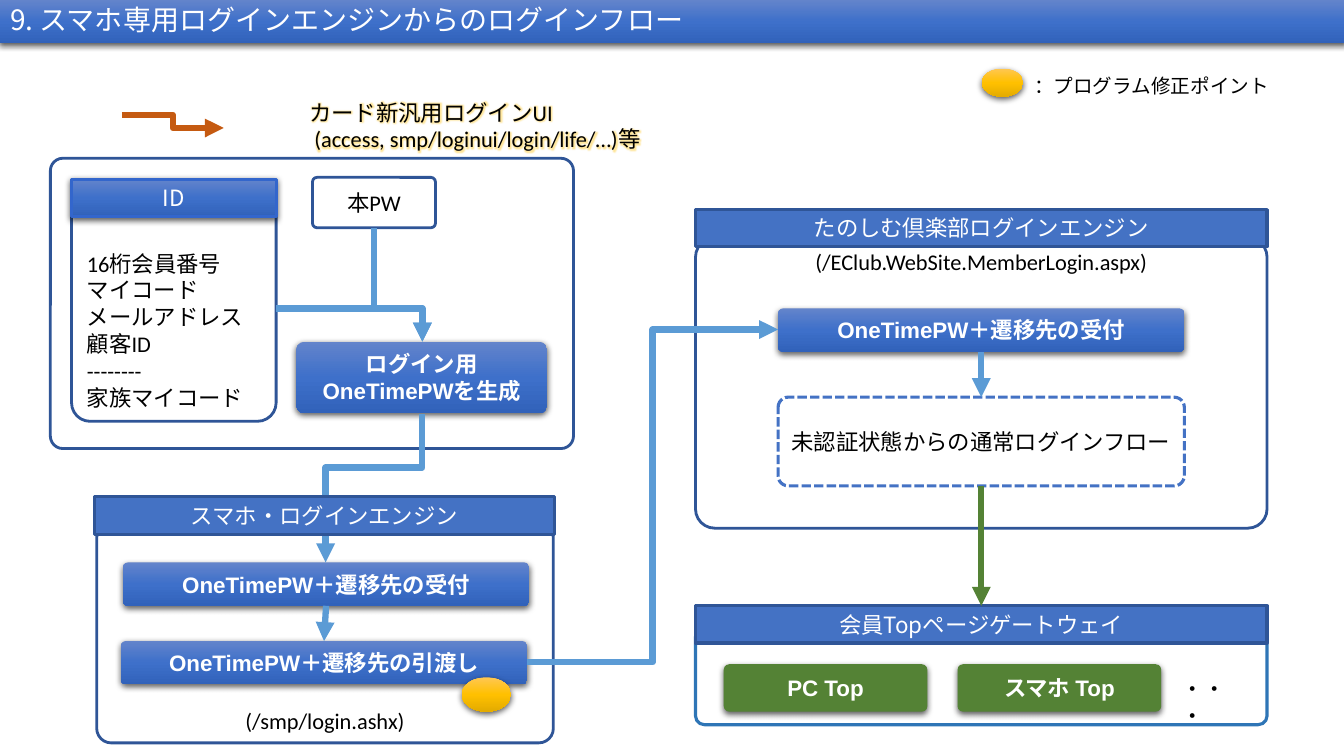
from copy import deepcopy

from lxml import etree
from pptx import Presentation
from pptx import util as u
from pptx.dml.color import RGBColor
from pptx.enum import dml, shapes, text
from pptx.oxml.ns import qn

SLIDE_WIDTH, SLIDE_HEIGHT = u.Inches(13.333), u.Inches(7.5)
COLUMN, ROW = SLIDE_WIDTH / 160, SLIDE_HEIGHT / 90

WHITE = RGBColor(0xFF, 0xFF, 0xFF)
BLACK = RGBColor(0x00, 0x00, 0x00)
BLUE = RGBColor(0x44, 0x72, 0xC4)
NAVY = RGBColor(0x2F, 0x55, 0x97)
ROYAL = RGBColor(0x33, 0x66, 0xCC)
TEAL = RGBColor(0x2E, 0x75, 0xB6)
SKY = RGBColor(0x5B, 0x9B, 0xD5)
GREEN = RGBColor(0x54, 0x82, 0x35)
ORANGE = RGBColor(0xC5, 0x5A, 0x11)
GOLD = RGBColor(0xFF, 0xC0, 0x00)
BLUE_SHADES = (RGBColor(0x63, 0x84, 0xCB), RGBColor(0x3E, 0x70, 0xCA), RGBColor(0x31, 0x62, 0xBA))
GOLD_SHADES = (RGBColor(0xFF, 0xC7, 0x52), GOLD, RGBColor(0xE3, 0xAB, 0x00))

BODY, STRONG, HEADING = "Calibri", "Arial", "Noto Sans CJK JP"
BAR_ROWS = 4.44
STEP_SIZE = (48.36, 5.16)
ROUND = shapes.MSO_SHAPE.ROUNDED_RECTANGLE
RECTANGLE = shapes.MSO_SHAPE.RECTANGLE
TOP, MIDDLE, BOTTOM = text.MSO_ANCHOR.TOP, text.MSO_ANCHOR.MIDDLE, text.MSO_ANCHOR.BOTTOM
LEFT, CENTER = text.PP_ALIGN.LEFT, text.PP_ALIGN.CENTER


def grid(left, top, width, height):
    return [round(n) for n in (left * COLUMN, top * ROW, width * COLUMN, height * ROW)]


def add_effect(parent, tag, color, alpha, **attributes):
    effect = etree.SubElement(parent, qn(tag), attributes)
    value = etree.SubElement(effect, qn("a:srgbClr"), val=str(color))
    etree.SubElement(value, qn("a:alpha"), val=str(alpha * 1000))


def add_shadow(shape):
    effects = shape._element.spPr.find(qn("a:effectLst"))
    add_effect(effects, "a:outerShdw", BLACK, 63, blurRad=str(u.Pt(4.5)),
               dist=str(u.Pt(1.5)), dir="5400000", algn="ctr", rotWithShape="0")


def paint(shape, fill=None, line=None, weight=2):
    shape.shadow.inherit = False
    if fill is None:
        shape.fill.background()
    elif isinstance(fill, RGBColor):
        shape.fill.solid()
        shape.fill.fore_color.rgb = fill
    else:
        shape.fill.gradient()
        shape.fill.gradient_angle = 270
        stops = shape._element.spPr.find(qn("a:gradFill")).find(qn("a:gsLst"))
        stops.append(deepcopy(stops[0]))
        for stop, color, position in zip(shape.fill.gradient_stops, fill, (0, 0.5, 1)):
            stop.color.rgb = color
            stop.position = position
    if line is None:
        shape.line.fill.background()
    else:
        shape.line.color.rgb = line
        shape.line.width = u.Pt(weight)


def write(shape, lines, font=BODY, size=16, color=BLACK, align=CENTER, anchor=MIDDLE):
    frame = shape.text_frame
    frame.word_wrap = True
    frame.auto_size = text.MSO_AUTO_SIZE.NONE
    frame.vertical_anchor = anchor
    frame.text = "\n".join(lines)
    for paragraph in frame.paragraphs:
        paragraph.alignment = align
        paragraph.font.name = font
        paragraph.font.size = u.Pt(size)
        paragraph.font.color.rgb = color
        paragraph.font.bold = font == STRONG


def add_frame(slide, place, corner, line=NAVY, weight=2, fill=None):
    shape = slide.shapes.add_shape(ROUND, *grid(*place))
    shape.adjustments[0] = corner
    paint(shape, fill, line, weight)
    return shape


def add_bar(slide, left, top, width, label, fill=BLUE, line=NAVY):
    shape = slide.shapes.add_shape(RECTANGLE, *grid(left, top, width, BAR_ROWS))
    paint(shape, fill, line, 2.25)
    write(shape, [label], HEADING, color=WHITE, anchor=TOP)
    return shape


def add_button(slide, place, lines, fill=BLUE_SHADES):
    shape = add_frame(slide, place, 0.114, line=None, fill=fill)
    add_shadow(shape)
    write(shape, lines, STRONG, color=WHITE)
    return shape


def add_marker(slide, place):
    shape = slide.shapes.add_shape(shapes.MSO_SHAPE.OVAL, *grid(*place))
    paint(shape, GOLD_SHADES)
    add_shadow(shape)


def add_label(slide, place, lines, size=16):
    box = slide.shapes.add_textbox(*grid(*place))
    write(box, lines, size=size, align=LEFT, anchor=TOP)
    return box


def add_glow(box):
    for paragraph in box.text_frame.paragraphs:
        for run in paragraph.runs:
            effects = etree.SubElement(run._r.get_or_add_rPr(), qn("a:effectLst"))
            add_effect(effects, "a:glow", GOLD, 40, rad=str(u.Pt(5)))


def style_arrow(connector, color):
    connector.line.color.rgb = color
    connector.line.width = u.Pt(4.5)
    etree.SubElement(connector.line._get_or_add_ln(), qn("a:tailEnd"), type="triangle")
    etree.SubElement(connector._element.spPr, qn("a:effectLst"))


def join_down(slide, upper, lower, color=SKY):
    connector = slide.shapes.add_connector(shapes.MSO_CONNECTOR.STRAIGHT, 0, 0, 0, 0)
    connector.begin_connect(upper, 2)
    connector.end_connect(lower, 0)
    style_arrow(connector, color)


def add_elbow(slide, start, end, color=SKY, bend=0.5):
    x1, y1, x2, y2 = grid(*start, *end)
    connector = slide.shapes.add_connector(shapes.MSO_CONNECTOR.ELBOW, x1, y1, x2, y2)
    style_arrow(connector, color)
    geometry = connector._element.spPr.find(qn("a:prstGeom"))
    if bend is None:
        geometry.set("prst", "bentConnector2")
    else:
        guides = geometry.find(qn("a:avLst"))
        etree.SubElement(guides, qn("a:gd"), name="adj1", fmla=f"val {round(bend * 100000)}")
    return connector


def add_drop(slide, start, end, bend):
    (x1, y1), (x2, y2) = start, end
    middle_x, middle_y = (x1 + x2) / 2, (y1 + y2) / 2
    run, rise = (y2 - y1) / 2, abs(x2 - x1) / 2
    connector = add_elbow(slide, (middle_x - run, middle_y - rise),
                          (middle_x + run, middle_y + rise), bend=bend)
    transform = connector._element.spPr.find(qn("a:xfrm"))
    if x2 > x1:
        transform.set("rot", "16200000")
        transform.set("flipH", "1")
    else:
        transform.set("rot", "5400000")


def add_title(slide):
    title = slide.shapes.title
    title.left, title.top, title.width, title.height = grid(0, 0, 160, 5.16)
    paint(title, BLUE_SHADES)
    add_shadow(title)
    write(title, ["9. スマホ専用ログインエンジンからのログインフロー"], HEADING, 20, WHITE, LEFT)
    title.text_frame.paragraphs[0].line_spacing = 0.9


def add_login_screen(slide):
    add_frame(slide, (6, 18.84, 62.28, 34.56), 0.043)
    add_elbow(slide, (14.52, 13.68), (26.64, 15.24), ORANGE)
    add_glow(add_label(slide, (35.64, 11.16, 44.76, 7.68),
                       ["カード新汎用ログインUI", " (access, smp/loginui/login/life/…)等"]))
    card = add_frame(slide, (8.52, 23.28, 24.36, 26.88), 0.091)
    write(card, ["16桁会員番号", "マイコード", "メールアドレス", "顧客ID", "--------",
                 "家族マイコード"], align=LEFT, anchor=BOTTOM)
    add_shadow(add_bar(slide, 8.52, 21.36, 24.36, "ID", BLUE_SHADES, ROYAL))
    write(add_frame(slide, (37.2, 21.12, 14.64, 6), 0.091), ["本PW"])
    add_button(slide, (35.28, 40.68, 29.88, 8.52), ["ログイン用", "OneTimePWを生成"])
    add_elbow(slide, (32.88, 36.72), (50.28, 40.68), bend=None)
    add_drop(slide, (44.52, 27.12), (50.28, 40.68), 0.71)


def add_phone_engine(slide):
    engine = add_frame(slide, (11.52, 62.28, 54.36, 26.16), 0.066)
    write(engine, ["(/smp/login.ashx)"], anchor=BOTTOM)
    accept = add_button(slide, (14.64, 66.96, *STEP_SIZE), ["OneTimePW＋遷移先の受付"])
    add_drop(slide, (50.28, 49.32), (38.76, 66.96), 0.36)
    add_bar(slide, 11.28, 59.16, 54.72, "スマホ・ログインエンジン")
    hand_over = add_button(slide, (14.4, 76.32, *STEP_SIZE), ["OneTimePW＋遷移先の引渡し"])
    join_down(slide, accept, hand_over)
    add_marker(slide, (54.96, 80.64, 5.88, 4.08))


def add_club_engine(slide):
    engine = add_frame(slide, (82.8, 28.32, 68.04, 34.56), 0.066)
    write(engine, ["(/EClub.WebSite.MemberLogin.aspx)"], anchor=TOP)
    add_bar(slide, 82.8, 24.96, 68.04, "たのしむ倶楽部ログインエンジン")
    accept = add_button(slide, (92.64, 36.72, *STEP_SIZE), ["OneTimePW＋遷移先の受付"])
    add_elbow(slide, (62.76, 78.84), (92.64, 39.24))
    login = add_frame(slide, (92.64, 47.28, 48.36, 10.56), 0.114, BLUE, 2.25, WHITE)
    login.line.dash_style = dml.MSO_LINE.SQUARE_DOT
    write(login, ["未認証状態からの通常ログインフロー"])
    join_down(slide, accept, login)
    return login


def add_gateway(slide, login):
    add_frame(slide, (82.8, 74.76, 68.04, 11.52), 0.091, TEAL, 2.25)
    bar = add_bar(slide, 82.8, 72.12, 68.04, "会員Topページゲートウェイ")
    join_down(slide, login, bar, GREEN)
    for left, label in ((86.16, "PC Top"), (114, "スマホ Top")):
        add_button(slide, (left, 79.08, 24.24, 5.64), [label], GREEN)
    add_label(slide, (139.44, 79.8, 9.6, BAR_ROWS), ["・・・"])


def main():
    presentation = Presentation()
    presentation.slide_width, presentation.slide_height = SLIDE_WIDTH, SLIDE_HEIGHT
    slide = presentation.slides.add_slide(presentation.slide_layouts[5])
    add_title(slide)
    add_login_screen(slide)
    add_phone_engine(slide)
    add_gateway(slide, add_club_engine(slide))
    add_marker(slide, (116.88, 8.16, 4.92, 3.36))
    add_label(slide, (121.92, 8.16, 32.16, 4.08), ["：プログラム修正ポイント"], 14)
    presentation.save("out.pptx")


if __name__ == "__main__":
    main()
